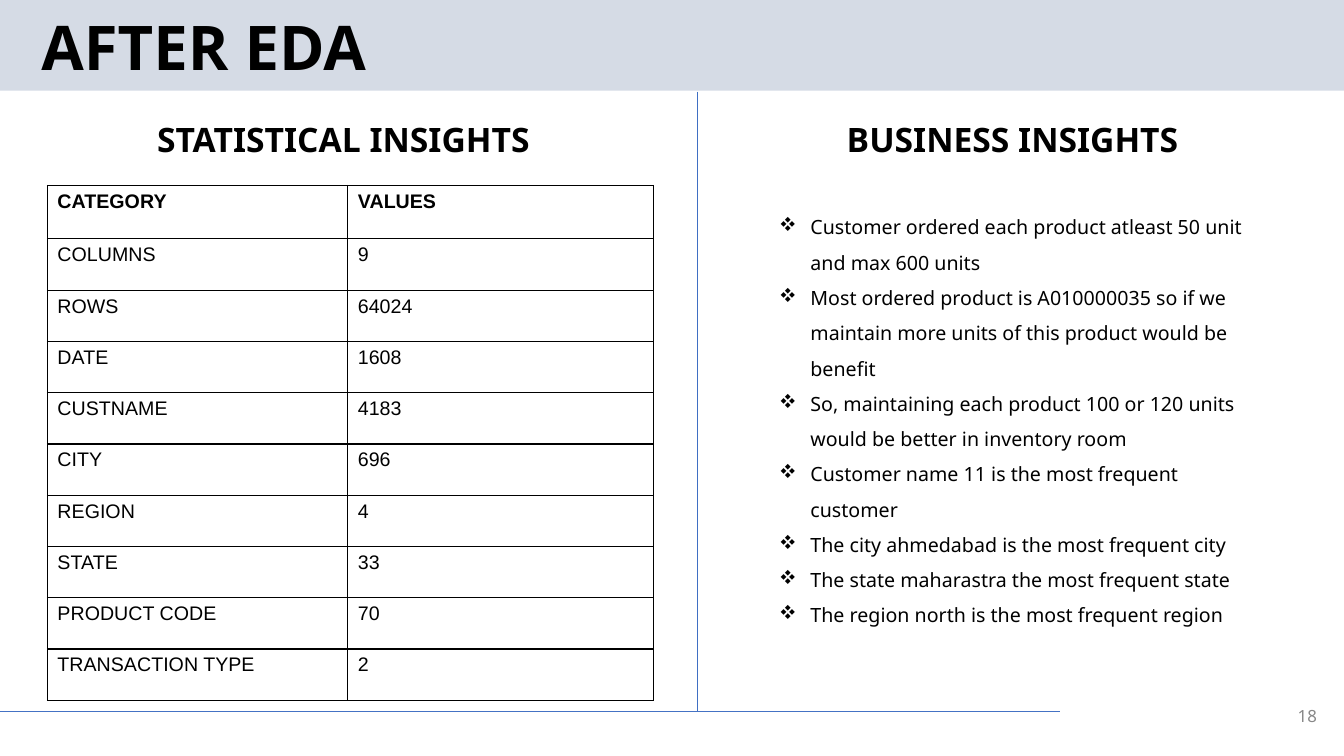
from lxml import etree
from pptx import Presentation
from pptx.dml.color import RGBColor
from pptx.enum.shapes import MSO_CONNECTOR, MSO_SHAPE
from pptx.enum.text import MSO_ANCHOR, PP_ALIGN
from pptx.oxml.ns import qn
from pptx.util import Inches, Pt

FONT = "Noto Sans"
BLACK = "000000"

STATISTICS = [
    ("CATEGORY", "VALUES"),
    ("COLUMNS", "9"),
    ("ROWS", "64024"),
    ("DATE", "1608"),
    ("CUSTNAME", "4183"),
    ("CITY", "696"),
    ("REGION", "4"),
    ("STATE", "33"),
    ("PRODUCT CODE", "70"),
    ("TRANSACTION TYPE", "2"),
]

INSIGHTS = [
    "Customer ordered each product atleast 50 unit and max 600 units",
    "Most ordered product is A010000035 so if we maintain more units of this product would be benefit",
    "So, maintaining each product 100 or 120 units would be better in inventory room",
    "Customer name 11 is the most frequent customer",
    "The city ahmedabad is the most frequent city",
    "The state maharastra the most frequent state",
    "The region north is the most frequent region",
]


def rgb(color):
    return RGBColor.from_string(color)


def box(*lengths):
    return [Inches(v) for v in lengths]


def add_run(p, text, size, bold=False, color=BLACK, font=FONT):
    r = p.add_run()
    r.text = text
    r.font.size = Pt(size)
    r.font.bold = bold
    r.font.name = font
    r.font.color.rgb = rgb(color)


def add_text_frame(s, at):
    tf = s.shapes.add_textbox(*box(*at)).text_frame
    tf.word_wrap = True
    return tf


def add_band(s, at, color):
    sp = s.shapes.add_shape(MSO_SHAPE.RECTANGLE, *box(*at))
    sp.shadow.inherit = False
    sp.fill.solid()
    sp.fill.fore_color.rgb = rgb(color)
    sp.line.fill.background()
    # Keep the band behind the title
    s.shapes.title._element.addprevious(sp._element)


def add_rule(s, ends, color):
    line = s.shapes.add_connector(MSO_CONNECTOR.STRAIGHT, *box(*ends))
    line.line.color.rgb = rgb(color)
    line.line.width = Pt(0.75)
    etree.SubElement(line._element.spPr, qn("a:effectLst"))


def set_title(s, text, at):
    title = s.shapes.title
    title.left, title.top, title.width, title.height = box(*at)
    tf = title.text_frame
    tf.vertical_anchor = MSO_ANCHOR.MIDDLE
    p = tf.paragraphs[0]
    p.alignment = PP_ALIGN.LEFT
    p.line_spacing = 0.9
    add_run(p, text, 44, bold=True)


def add_heading(s, text, at):
    add_run(add_text_frame(s, at).paragraphs[0], text, 24, bold=True)


def add_page_number(s, text, at):
    tf = add_text_frame(s, at)
    tf.vertical_anchor = MSO_ANCHOR.MIDDLE
    p = tf.paragraphs[0]
    p.alignment = PP_ALIGN.RIGHT
    add_run(p, text, 12, color="888888")


def add_bullets(s, items, at):
    tf = add_text_frame(s, at)
    for i, item in enumerate(items):
        p = tf.add_paragraph() if i else tf.paragraphs[0]
        p.line_spacing = 1.5
        pPr = p._p.get_or_add_pPr()
        pPr.set("marL", str(Inches(0.31)))
        pPr.set("indent", str(Inches(-0.31)))
        # In Wingdings the letter v is the four-diamond bullet
        etree.SubElement(pPr, qn("a:buFont"), typeface="Wingdings", charset="2")
        etree.SubElement(pPr, qn("a:buChar"), char="v")
        add_run(p, item, 14)


def format_cell(cell):
    tcPr = cell._tc.get_or_add_tcPr()
    for side in ("lnL", "lnR", "lnT", "lnB"):
        ln = etree.SubElement(tcPr, qn(f"a:{side}"), w=str(Pt(1)))
        fill = etree.SubElement(ln, qn("a:solidFill"))
        etree.SubElement(fill, qn("a:srgbClr"), val=BLACK)
    cell.fill.background()


def add_statistics(s, rows, at, col_widths, header_height):
    table = s.shapes.add_table(len(rows), len(col_widths), *box(*at)).table
    row_height = (at[3] - header_height) / (len(rows) - 1)
    for col, width in zip(table.columns, col_widths):
        col.width = Inches(width)
    for i, values in enumerate(rows):
        table.rows[i].height = Inches(row_height if i else header_height)
        for j, value in enumerate(values):
            cell = table.cell(i, j)
            format_cell(cell)
            add_run(cell.text_frame.paragraphs[0], value, 14, bold=i == 0, font="Arial")


def main():
    prs = Presentation()
    prs.slide_width, prs.slide_height = box(13.33, 7.5)
    s = prs.slides.add_slide(prs.slide_layouts[5])

    # Header band, footer rule and title
    add_band(s, (0, 0, 13.33, 0.9), "D5DBE5")
    add_rule(s, (0, 7.06, 10.51, 7.06), "4472C4")
    set_title(s, "AFTER EDA", (0.31, 0.12, 4.31, 0.77))
    add_page_number(s, "18", (12.73, 6.94, 0.43, 0.32))

    # Left: statistics
    add_heading(s, "STATISTICAL INSIGHTS", (1.46, 1.13, 4.31, 0.5))
    add_statistics(s, STATISTICS, (0.47, 1.84, 6.01, 5.11), (2.98, 3.03), 0.53)

    # Divider
    add_rule(s, (6.92, 0.91, 6.92, 7.05), "3F6FC3")

    # Right: business findings
    add_heading(s, "BUSINESS INSIGHTS", (8.3, 1.13, 3.6, 0.5))
    add_bullets(s, INSIGHTS, (7.63, 1.97, 4.97, 4.65))

    prs.save("out.pptx")


if __name__ == "__main__":
    main()
